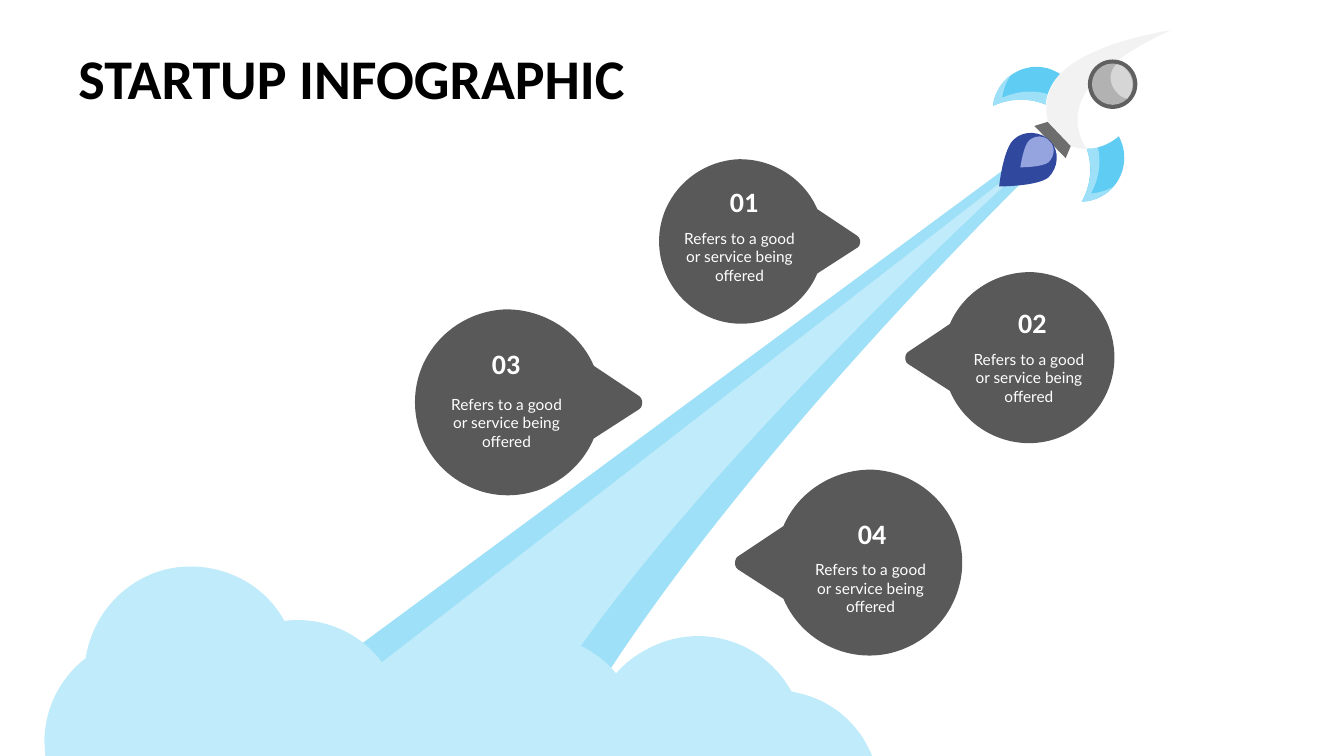
import lxml.etree
import pptx
import pptx.util
import pptx.dml.color
import pptx.enum.shapes
import pptx.enum.text
import pptx.oxml.ns

RGB = pptx.dml.color.RGBColor
SKY = RGB(0x9E, 0xE0, 0xF8)
PALE_SKY = RGB(0xBF, 0xEB, 0xFA)
FIN_BLUE = RGB(0x5E, 0xCC, 0xF3)
WHITE = RGB(0xFF, 0xFF, 0xFF)
BLACK = RGB(0x00, 0x00, 0x00)
HULL_SHADE = RGB(0xF2, 0xF2, 0xF2)
NOZZLE_GRAY = RGB(0x6D, 0x6D, 0x6D)
RIM_GRAY = RGB(0x60, 0x60, 0x60)
GLASS_GRAY = RGB(0xB2, 0xB2, 0xB2)
GLINT_GRAY = RGB(0xD6, 0xD6, 0xD6)
FLAME_BLUE = RGB(0x31, 0x48, 0x9F)
FLAME_CORE = RGB(0x95, 0xA4, 0xDE)
CALLOUT_GRAY = RGB(0x59, 0x59, 0x59)

PX = pptx.util.Inches(1) // 100
CURVE_STEPS = 16

TITLE = "STARTUP INFOGRAPHIC"
CAPTION = "Refers to a good or service being offered"

TRAIL_AND_CLOUD = [
    (SKY, [(1034, 140), (1044, 151), (1044, 151, 720, 461, 565, 729),
           (554, 750), (208, 750)]),
    (PALE_SKY, [(1035, 148), (1025, 158, 636, 507, 511, 744),
                (508, 750), (259, 750)]),
    (PALE_SKY, [(189, 562), (226, 562, 263, 581, 282, 616),
                (322, 611, 361, 629, 383, 663), (409, 647, 440, 642, 470, 650),
                (514, 618, 576, 626, 611, 668), (620, 658, 630, 650, 642, 644),
                (693, 616, 757, 635, 785, 686), (786, 686, 787, 686, 789, 687),
                (825, 694, 852, 718, 865, 750), (45, 750), (44, 736),
                (44, 704, 59, 673, 85, 653), (90, 620, 110, 591, 139, 575),
                (155, 566, 172, 562, 189, 562)]),
]

ROCKET_BODY = [
    (FIN_BLUE, [(1060, 120), (1063, 123, 1065, 125, 1067, 129),
                (1078, 107, 1069, 81, 1047, 71), (1026, 60, 1000, 69, 989, 91),
                (987, 95, 985, 100, 985, 105), (1011, 93, 1041, 99, 1060, 120)]),
    (FIN_BLUE, [(1064, 124), (1062, 121, 1059, 119, 1056, 116),
                (1078, 107, 1103, 118, 1112, 140),
                (1121, 163, 1110, 188, 1088, 197),
                (1083, 199, 1078, 200, 1073, 200),
                (1087, 175, 1083, 145, 1064, 124)]),
    (SKY, [(1082, 192), (1095, 169, 1093, 140, 1076, 120),
           (1074, 118, 1073, 116, 1071, 114), (1069, 112, 1067, 110, 1065, 108),
           (1046, 90, 1018, 86, 994, 97), (995, 89, 998, 81, 1003, 74),
           (993, 81, 986, 93, 985, 105), (1009, 94, 1037, 98, 1057, 116),
           (1056, 116), (1058, 118, 1060, 120, 1062, 122),
           (1064, 124, 1066, 126, 1067, 129), (1084, 149, 1086, 177, 1073, 200),
           (1084, 200, 1094, 195, 1102, 188), (1103, 187, 1104, 185, 1106, 184),
           (1099, 189, 1091, 191, 1082, 192)]),
    (WHITE, [(1112, 133), (1080, 163, 1045, 137, 1045, 137),
             (1045, 137, 1022, 101, 1054, 71), (1086, 41, 1161, 30, 1161, 30),
             (1161, 30, 1144, 103, 1112, 133)]),
    (HULL_SHADE, [(1078, 90), (1096, 62, 1141, 39, 1161, 30),
                  (1161, 30, 1086, 41, 1054, 71),
                  (1023, 101, 1046, 137, 1046, 137),
                  (1055, 144, 1066, 147, 1078, 148),
                  (1070, 136, 1062, 114, 1078, 90)]),
    (NOZZLE_GRAY, [(1057, 157), (1026, 125), (1039, 121), (1062, 145)]),
]

PORTHOLE = [(RIM_GRAY, 1079, 59, 49), (GLASS_GRAY, 1083, 63, 41)]

GLINT_AND_FLAME = [
    (GLINT_GRAY, [(1107, 64), (1099, 72, 1100, 84, 1108, 92),
                  (1110, 95, 1114, 97, 1118, 98), (1125, 90, 1125, 77, 1117, 69),
                  (1115, 66, 1111, 64, 1107, 64)]),
    (FLAME_BLUE, [(1040, 176), (1029, 185, 991, 185, 991, 185),
                  (991, 185, 995, 147, 1006, 138),
                  (1016, 129, 1032, 130, 1042, 140),
                  (1051, 150, 1050, 166, 1040, 176)]),
    (FLAME_CORE, [(1040, 161), (1034, 166, 1012, 166, 1012, 166),
                  (1012, 166, 1015, 144, 1021, 139),
                  (1027, 134, 1036, 134, 1041, 140),
                  (1047, 146, 1046, 155, 1040, 161)]),
]

CALLOUT_WIDTH = 226
CALLOUT_OUTLINE = [
    (88, 0), (126, -1, 162, 21, 177, 56), (222, 86), (225, 88, 226, 93, 224, 97),
    (223, 98, 223, 99, 222, 99), (177, 128), (157, 175, 102, 197, 56, 177),
    (9, 157, -13, 103, 7, 56), (21, 24, 52, 2, 88, 0),
]

CALLOUTS = [
    ("04", 728, 466, 226, True, (840, 507), (797, 551)),
    ("02", 897, 270, 208, True, (999, 298), (954, 342)),
    ("03", 412, 307, 226, False, (477, 339), (436, 387)),
    ("01", 654, 158, 200, False, (713, 178), (667, 222)),
]


def pairs(segment):
    return list(zip(segment[::2], segment[1::2]))


def bounds(outline):
    points = [outline[0]]
    for segment in outline[1:]:
        knots = [points[-1]] + pairs(segment)
        if len(knots) == 2:
            points.append(segment)
            continue
        for step in range(1, CURVE_STEPS + 1):
            t = step / CURVE_STEPS
            weights = ((1 - t)**3, 3 * (1 - t)**2 * t, 3 * (1 - t) * t**2, t**3)
            points.append(tuple(sum(w * knot[axis] for w, knot in zip(weights, knots))
                                for axis in (0, 1)))
    across, down = zip(*points)
    return [round(edge * PX) for edge in (min(across), min(down), max(across), max(down))]


def paint(shape, color):
    shape.shadow.inherit = False
    shape.fill.solid()
    shape.fill.fore_color.rgb = color
    shape.line.fill.background()


def draw_outline(page, color, outline):
    left, top, right, bottom = bounds(outline)
    builder = page.shapes.build_freeform(left, top)
    builder.add_line_segments([(right, top), (right, bottom), (left, bottom)])
    shape = builder.convert_to_shape()
    qn = pptx.oxml.ns.qn
    route = next(shape.element.iter(qn("a:path")))
    for child in list(route):
        route.remove(child)
    for index, segment in enumerate(outline):
        tag = "a:cubicBezTo" if len(segment) == 6 else "a:lnTo" if index else "a:moveTo"
        step = lxml.etree.SubElement(route, qn(tag))
        for x, y in pairs(segment):
            lxml.etree.SubElement(step, qn("a:pt"), x=str(round(x * PX) - left),
                                  y=str(round(y * PX) - top))
    lxml.etree.SubElement(route, qn("a:close"))
    paint(shape, color)


def draw_porthole(page):
    for color, left, top, size in PORTHOLE:
        disc = page.shapes.add_shape(pptx.enum.shapes.MSO_SHAPE.OVAL,
                                     left * PX, top * PX, size * PX, size * PX)
        paint(disc, color)


def draw_callout(page, left, top, width, points_left):
    scale = width / CALLOUT_WIDTH
    outline = [
        sum(((left + scale * (CALLOUT_WIDTH - x if points_left else x), top + scale * y)
             for x, y in pairs(segment)), ())
        for segment in CALLOUT_OUTLINE]
    draw_outline(page, CALLOUT_GRAY, outline)


def add_text(page, text, left, top, width, height, *, size, font="Calibri",
             color=WHITE, bold=False, wrap=False,
             align=pptx.enum.text.PP_ALIGN.CENTER):
    box = page.shapes.add_textbox(left * PX, top * PX, width * PX, height * PX)
    box.text_frame.word_wrap = wrap
    box.text_frame.auto_size = pptx.enum.text.MSO_AUTO_SIZE.SHAPE_TO_FIT_TEXT
    para = box.text_frame.paragraphs[0]
    para.alignment = align
    span = para.add_run()
    span.text = text
    span.font.name = font
    span.font.size = pptx.util.Pt(size)
    span.font.bold = bold
    span.font.color.rgb = color


def main():
    deck = pptx.Presentation()
    deck.slide_width = 1333 * PX
    deck.slide_height = 750 * PX
    page = deck.slides.add_slide(deck.slide_layouts[6])
    for color, outline in TRAIL_AND_CLOUD + ROCKET_BODY:
        draw_outline(page, color, outline)
    draw_porthole(page)
    for color, outline in GLINT_AND_FLAME:
        draw_outline(page, color, outline)
    for number, left, top, width, points_left, number_at, caption_at in CALLOUTS:
        draw_callout(page, left, top, width, points_left)
        add_text(page, CAPTION, *caption_at, 133, 66, size=11, font="Lato", wrap=True)
        add_text(page, number, *number_at, 50, 44, size=20, bold=True)
    add_text(page, TITLE, 68, 38, 592, 77, size=40, color=BLACK, bold=True,
             align=pptx.enum.text.PP_ALIGN.LEFT)
    deck.save("out.pptx")


if __name__ == "__main__":
    main()
